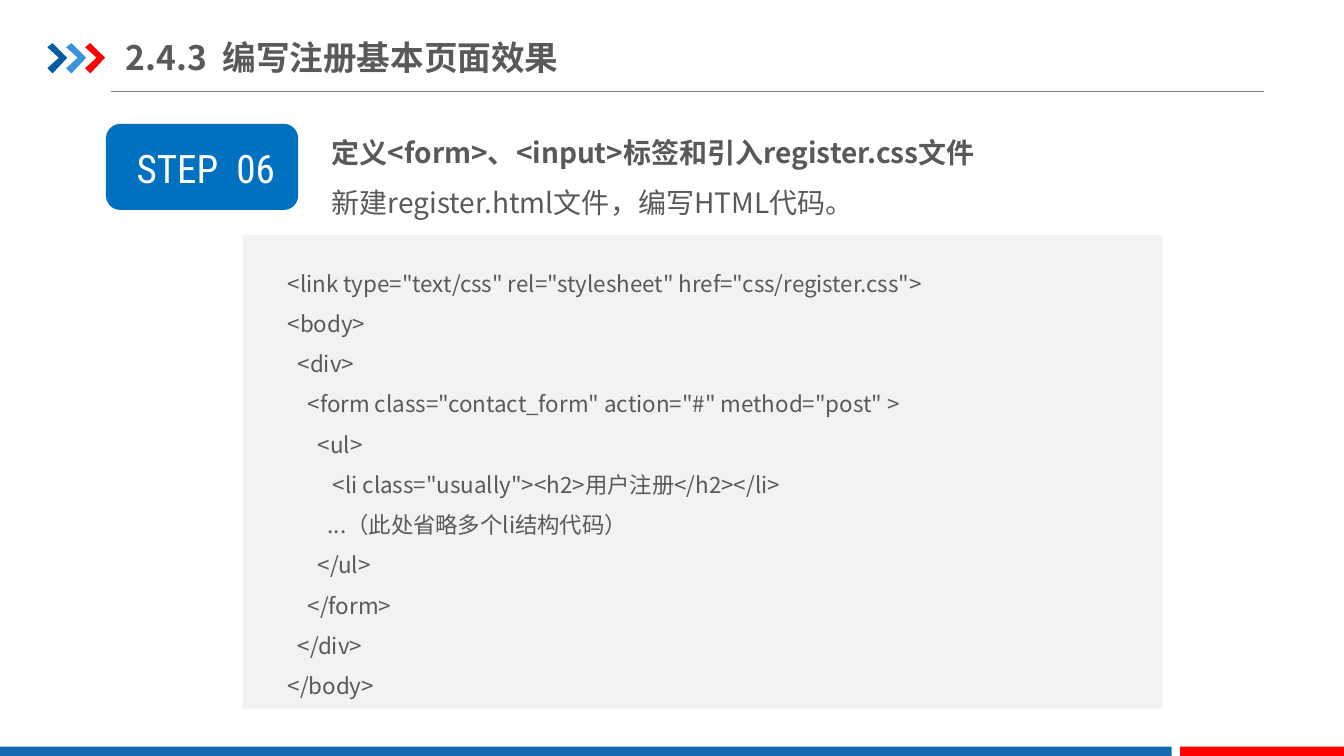
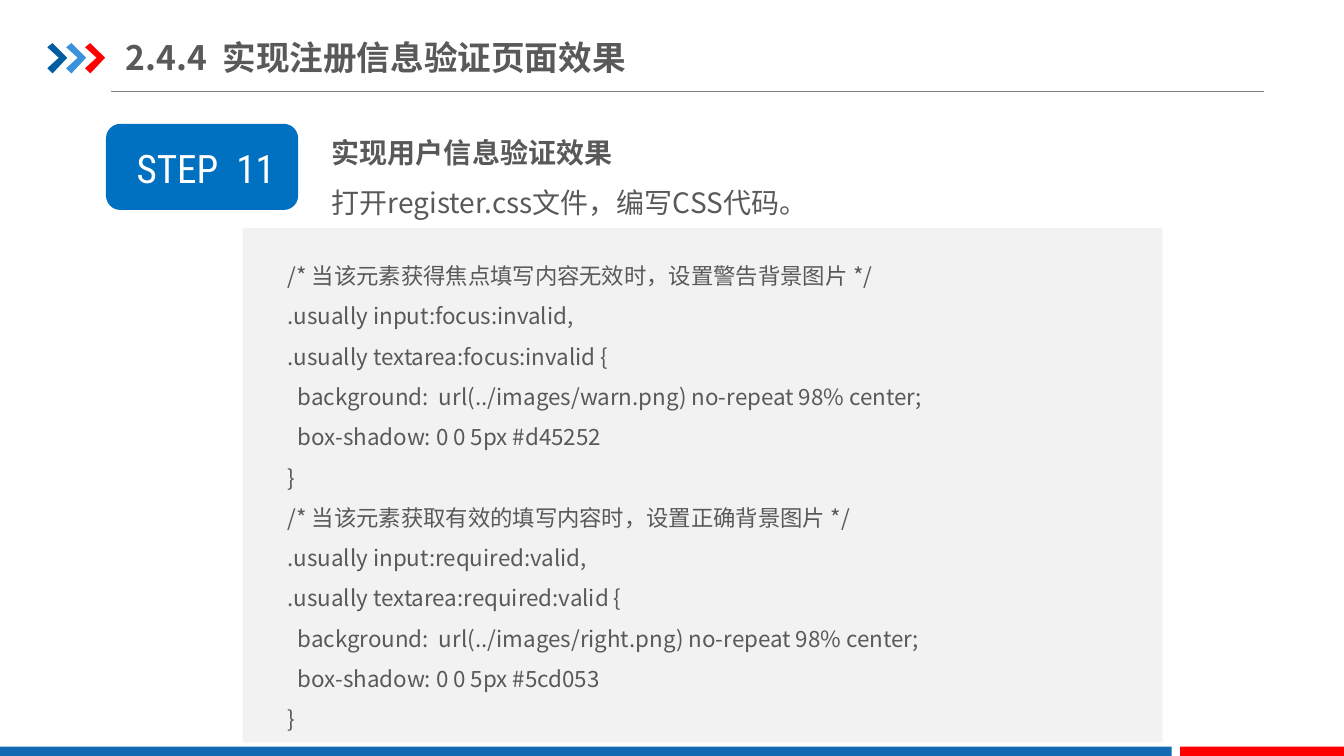
import pptx
import pptx.dml.color
import pptx.enum.shapes
import pptx.enum.text
import pptx.oxml.ns
import pptx.util
import lxml.etree

PX = 9525  # EMU in one px; the slide is 1280 x 720 px
SANS = "Noto Sans CJK SC"
CONDENSED = "Roboto Condensed"
TEXT, WHITE, RULE, PANEL = "595959", "FFFFFF", "808080", "F2F2F2"
BAND, RED, BADGE = "1369B2", "FF0000", "0070C0"
CHEVRONS = ("005DA2", "3992DB", RED)
CODE_SPACE = 3.58  # points of indent for one column of code

SHAPE = pptx.enum.shapes.MSO_SHAPE
ALIGN = pptx.enum.text.PP_ALIGN
ANCHOR = pptx.enum.text.MSO_ANCHOR

# Each line of code: columns of indent, text
HTML_CODE = [
    (0, '<link type="text/css" rel="stylesheet" href="css/register.css">'),
    (0, "<body>"),
    (2, "<div>"),
    (4, '<form class="contact_form" action="#" method="post" >'),
    (6, "<ul>"),
    (9, '<li class="usually"><h2>用户注册</h2></li>'),
    (8, "...（此处省略多个li结构代码）"),
    (6, "</ul>"),
    (4, "</form>"),
    (2, "</div>"),
    (0, "</body>"),
]


def css_rule(comment, state, image, shadow):
    return [
        (0, f"/* {comment} */"),
        (0, f".usually input:{state},"),
        (0, f".usually textarea:{state} {{"),
        (2, f"background:  url(../images/{image}) no-repeat 98% center;"),
        (2, f"box-shadow: 0 0 5px {shadow}"),
        (0, "}"),
    ]


CSS_CODE = (
    css_rule("当该元素获得焦点填写内容无效时，设置警告背景图片", "focus:invalid", "warn.png", "#d45252")
    + css_rule("当该元素获取有效的填写内容时，设置正确背景图片", "required:valid", "right.png", "#5cd053")
)


def px(*lengths):
    return [pptx.util.Emu(length * PX) for length in lengths]


def rgb(color):
    return pptx.dml.color.RGBColor.from_string(color)


def paint(shape, color):
    shape.shadow.inherit = False
    shape.fill.solid()
    shape.fill.fore_color.rgb = rgb(color)
    shape.line.fill.background()


def add_block(slide, kind, box, color):
    block = slide.shapes.add_shape(kind, *px(*box))
    paint(block, color)
    return block


def place(placeholder, box):
    placeholder.left, placeholder.top, placeholder.width, placeholder.height = px(*box)


def set_frame(frame, insets, anchor):
    frame.word_wrap = True
    frame.auto_size = pptx.enum.text.MSO_AUTO_SIZE.NONE
    frame.vertical_anchor = anchor
    frame.margin_left, frame.margin_top, frame.margin_right, frame.margin_bottom = px(*insets)


def write(frame, lines, size, color=TEXT, font=SANS, align=ALIGN.LEFT, spacing=1.0):
    """Fill a frame with one paragraph per line, all in one style."""
    frame.text = "\n".join(lines)
    for paragraph in frame.paragraphs:
        paragraph.alignment = align
        paragraph.line_spacing = spacing
        paragraph.space_before = pptx.util.Pt(0)
        for run in paragraph.runs:
            run.font.size = pptx.util.Pt(size)
            run.font.bold = False
            run.font.color.rgb = rgb(color)
            run.font.name = font
            east_asian = lxml.etree.SubElement(run.font._element, pptx.oxml.ns.qn("a:ea"))
            east_asian.set("typeface", font)


def embolden(paragraph):
    for run in paragraph.runs:
        run.font.bold = True


def indent(paragraph, points):
    properties = paragraph._p.get_or_add_pPr()
    properties.set("marL", str(int(pptx.util.Pt(points))))
    properties.set("indent", "0")
    return properties


# Shared frame of every slide
def add_chevron(slide, left, top, color):
    corners = [(0, 4), (5, 0), (19, 14), (5, 29), (0, 24), (11, 14)]
    points = [(left + x, top + y) for x, y in corners]
    outline = slide.shapes.build_freeform(*points[0], scale=PX)
    outline.add_line_segments(points[1:], close=True)
    chevron = outline.convert_to_shape()
    paint(chevron, color)
    return chevron


def add_rule(slide):
    rule = slide.shapes.add_connector(
        pptx.enum.shapes.MSO_CONNECTOR.STRAIGHT, *px(106, 87, 1204, 87))
    rule.line.color.rgb = rgb(RULE)
    rule.line.width = pptx.util.Pt(0.75)
    lxml.etree.SubElement(rule._element.spPr, pptx.oxml.ns.qn("a:effectLst"))
    return rule


def move_frame_to_layout(slide):
    """Draw the frame and hand it to the layout, so that all slides share it."""
    frame = [add_rule(slide)]
    frame += [add_chevron(slide, 45 + 18 * i, 41, color) for i, color in enumerate(CHEVRONS)]
    frame.append(add_block(slide, SHAPE.RECTANGLE, (0, 711, 1116, 9), BAND))
    frame.append(add_block(slide, SHAPE.RECTANGLE, (1124, 711, 156, 9), RED))
    for part in frame:
        slide.slide_layout.shapes._spTree.append(part._element)


# Content of one step
def set_title(slide, heading):
    title = slide.shapes.title
    place(title, (120, 28, 527, 53))
    set_frame(title.text_frame, (0, 7, 0, 7), ANCHOR.MIDDLE)
    write(title.text_frame, [heading], 24)
    embolden(title.text_frame.paragraphs[0])


def add_step_badge(slide, number):
    badge = add_block(slide, SHAPE.ROUNDED_RECTANGLE, (101, 118, 183, 82), BADGE)
    set_frame(badge.text_frame, (7, 2, 0, 0), ANCHOR.MIDDLE)
    write(badge.text_frame, [f"STEP  {number}"], 28, WHITE, CONDENSED, ALIGN.CENTER)


def set_summary(slide, goal, action):
    summary = slide.placeholders[1]
    place(summary, (306, 108, 795, 101))
    set_frame(summary.text_frame, (10, 5, 10, 5), ANCHOR.TOP)
    write(summary.text_frame, [goal, action], 20, spacing=1.5)
    embolden(summary.text_frame.paragraphs[0])
    for paragraph in summary.text_frame.paragraphs:
        lxml.etree.SubElement(indent(paragraph, 0), pptx.oxml.ns.qn("a:buNone"))


def add_code_panel(slide, top, code):
    height = 22 + 39 * len(code)
    panel = add_block(slide, SHAPE.RECTANGLE, (231, top, 876, height), PANEL)
    set_frame(panel.text_frame, (43, 20, 28, 5), ANCHOR.TOP)
    write(panel.text_frame, [text for _, text in code], 16, spacing=1.5)
    for paragraph, (columns, _) in zip(panel.text_frame.paragraphs, code):
        indent(paragraph, columns * CODE_SPACE)


def add_step_slide(deck, heading, number, goal, action, panel_top, code):
    slide = deck.slides.add_slide(deck.slide_layouts[1])
    set_title(slide, heading)
    add_step_badge(slide, number)
    set_summary(slide, goal, action)
    add_code_panel(slide, panel_top, code)
    return slide


def main():
    deck = pptx.Presentation()
    deck.slide_width, deck.slide_height = px(1280, 720)
    first_step = add_step_slide(
        deck, "2.4.3  编写注册基本页面效果", "06",
        "定义<form>、<input>标签和引入register.css文件",
        "新建register.html文件，编写HTML代码。", 224, HTML_CODE)
    move_frame_to_layout(first_step)
    add_step_slide(
        deck, "2.4.4  实现注册信息验证页面效果", "11",
        "实现用户信息验证效果",
        "打开register.css文件，编写CSS代码。", 217, CSS_CODE)
    deck.save("out.pptx")


if __name__ == "__main__":
    main()
